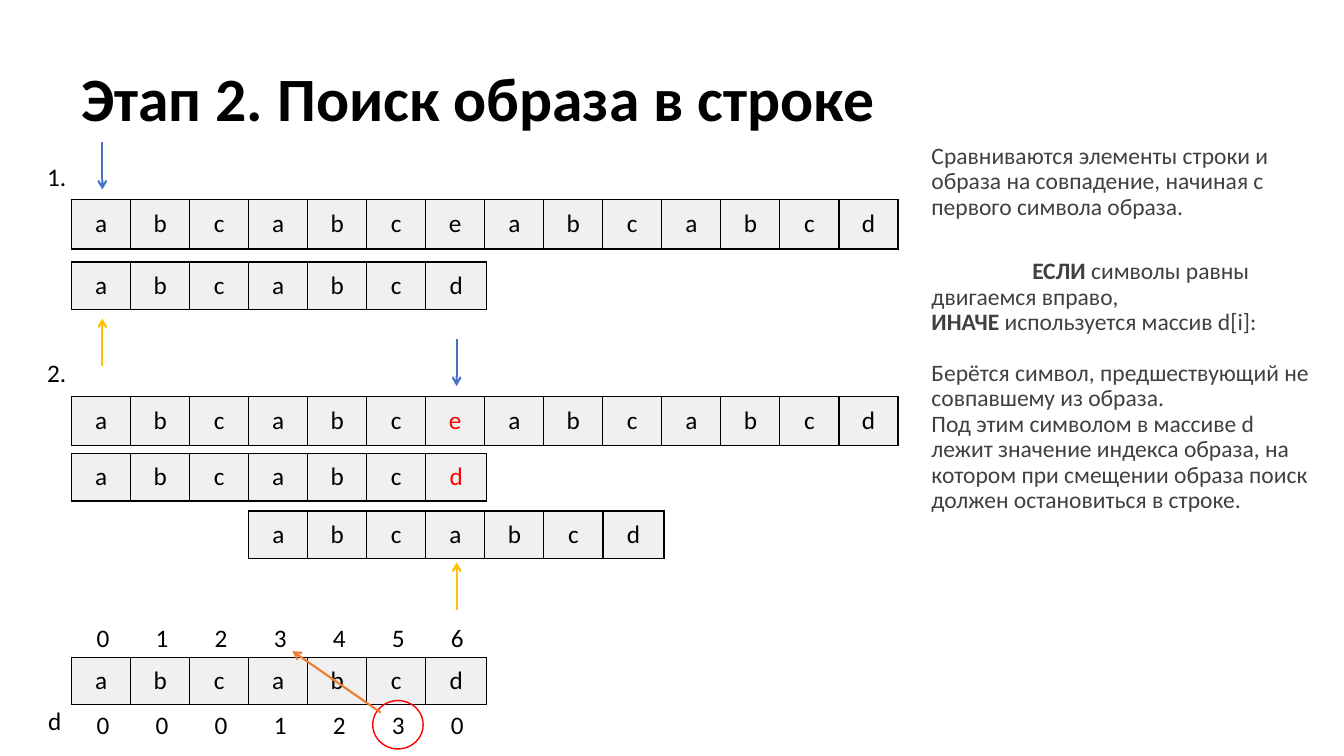
from dataclasses import dataclass
from typing import NamedTuple

from lxml.etree import SubElement
from pptx import Presentation
from pptx.dml.color import RGBColor
from pptx.enum.shapes import MSO_CONNECTOR as Connector, MSO_SHAPE as Preset
from pptx.enum.text import MSO_ANCHOR as Anchor, MSO_AUTO_SIZE as AutoSize, PP_ALIGN as Align
from pptx.oxml.ns import qn
from pptx.util import Inches, Pt


@dataclass(frozen=True)
class Theme:
    font: str = "Calibri"
    title_size: float = 44
    cell_size: float = 18
    body_size: float = 16.8
    ink: str = "000000"
    body_ink: str = "404040"
    cell_fill: str = "F0F0F0"
    alert: str = "FF0000"
    text_arrow: str = "4472C4"
    pattern_arrow: str = "FFC000"
    shift_arrow: str = "ED7D31"


class Box(NamedTuple):
    left: float
    top: float
    width: float
    height: float


THEME = Theme()
TEXT = "abcabceabcabcd"
PATTERN = "abcabcd"
TEXT_WIDTH, PATTERN_WIDTH = 8.2, 4.12
TEXT_HEIGHT, PATTERN_HEIGHT = 0.49, 0.47
COLUMN = TEXT_WIDTH / len(TEXT)
GRID_LEFT = 0.71
ARROW_SHIFT = 0.52  # share of a column
ARROW_LENGTH = 0.47


def apply_format(target, values):
    for name, value in values.items():
        setattr(target, name, value)


def add_run(paragraph, text, size=THEME.cell_size, color=THEME.ink, bold=False):
    run = paragraph.add_run()
    run.text = text
    apply_format(run.font, {"name": THEME.font, "size": Pt(size), "bold": bold})
    run.font.color.rgb = RGBColor.from_string(color)


def add_text_box(slide, box, **frame_format):
    frame = slide.shapes.add_textbox(*map(Inches, box)).text_frame
    apply_format(frame, {"word_wrap": True, **frame_format})
    return frame


def add_label(slide, left, top, text, width=0.33):
    frame = add_text_box(slide, Box(left, top, width, 0.4),
                         word_wrap=False, auto_size=AutoSize.SHAPE_TO_FIT_TEXT)
    add_run(frame.paragraphs[0], text)


def add_arrow(slide, start, end, color):
    arrow = slide.shapes.add_connector(Connector.STRAIGHT, *map(Inches, start + end))
    arrow.line.color.rgb = RGBColor.from_string(color)
    arrow.line.width = Pt(1.5)
    SubElement(arrow.line._get_or_add_ln(), qn("a:tailEnd"), type="arrow")
    SubElement(arrow._element.spPr, qn("a:effectLst"))


def add_cell_borders(cell):
    properties = cell._tc.get_or_add_tcPr()
    for side in ("lnL", "lnR", "lnT", "lnB"):
        border = SubElement(properties, qn(f"a:{side}"), w=str(Pt(1)))
        fill = SubElement(border, qn("a:solidFill"))
        SubElement(fill, qn("a:srgbClr"), val=THEME.ink)


def add_strip(slide, box, letters, alert_index=None):
    """One-row table; the last column takes what the even columns leave."""
    table = slide.shapes.add_table(1, len(letters), *map(Inches, box)).table
    apply_format(table, {"first_row": False, "horz_banding": False})
    last = len(letters) - 1
    for index, letter in enumerate(letters):
        width = box.width - last * COLUMN if index == last else COLUMN
        table.columns[index].width = Inches(width)
        cell = table.cell(0, index)
        add_cell_borders(cell)
        cell.fill.solid()
        cell.fill.fore_color.rgb = RGBColor.from_string(THEME.cell_fill)
        cell.vertical_anchor = Anchor.MIDDLE
        paragraph = cell.text_frame.paragraphs[0]
        paragraph.alignment = Align.CENTER
        color = THEME.alert if index == alert_index else THEME.ink
        add_run(paragraph, letter, color=color)


def add_title(slide, box):
    frame = add_text_box(slide, box, vertical_anchor=Anchor.MIDDLE)
    paragraph = frame.paragraphs[0]
    paragraph.line_spacing = 0.9
    add_run(paragraph, "Этап 2. Поиск образа в строке", THEME.title_size, bold=True)


def add_explanation(slide, box):
    # Space before, first-line indent, bold opening, rest of the paragraph
    paragraphs = [
        (0, 0, "", "Сравниваются элементы строки и образа на совпадение, "
                   "начиная с первого символа образа."),
        (28, 1, "ЕСЛИ", " символы равны двигаемся вправо,"),
        (0, 0, "ИНАЧЕ", " используется массив d[i]:"),
        (18, 0, "", "Берётся символ, предшествующий не совпавшему из образа."),
        (0, 0, "", "Под этим символом в массиве d лежит значение индекса образа, "
                   "на котором при смещении образа поиск должен остановиться в строке."),
    ]
    frame = add_text_box(slide, box)
    for number, (before, indent, opening, rest) in enumerate(paragraphs):
        paragraph = frame.add_paragraph() if number else frame.paragraphs[0]
        apply_format(paragraph, {"line_spacing": 0.9, "space_before": Pt(before)})
        if indent:
            paragraph._p.get_or_add_pPr().set("indent", str(Inches(indent)))
        if opening:
            add_run(paragraph, opening, THEME.body_size, THEME.body_ink, bold=True)
        add_run(paragraph, rest, THEME.body_size, THEME.body_ink)


def add_step(slide, box, label, pitch, column, pattern_shifts, alert_index=None):
    """Text strip over pattern strips, with an arrow at the compared column."""
    arrow_x = box.left + (column + ARROW_SHIFT) * COLUMN
    strip_top = box.top + 0.57
    add_label(slide, box.left - 0.34, box.top + 0.14, label, width=0.39)
    add_arrow(slide, (arrow_x, box.top), (arrow_x, box.top + ARROW_LENGTH), THEME.text_arrow)
    add_strip(slide, Box(box.left, strip_top, box.width, TEXT_HEIGHT), TEXT, alert_index)
    for row, shift in enumerate(pattern_shifts, start=1):
        place = Box(box.left + shift * COLUMN, strip_top + row * pitch,
                    PATTERN_WIDTH, PATTERN_HEIGHT)
        add_strip(slide, place, PATTERN, None if shift else alert_index)
    tip = strip_top + (len(pattern_shifts) + 1) * pitch - 0.06
    add_arrow(slide, (arrow_x, tip + ARROW_LENGTH), (arrow_x, tip), THEME.pattern_arrow)


def add_prefix_array(slide, box):
    """Indices above the pattern, values of d below it."""
    strip_top, values_top = box.top + 0.4, box.top + 0.87
    add_strip(slide, Box(box.left, strip_top, box.width, PATTERN_HEIGHT), PATTERN)
    for top, digits in ((box.top, "0123456"), (values_top, "0001230")):
        for index, digit in enumerate(digits):
            add_label(slide, box.left + 0.15 + index * COLUMN, top, digit)
    add_label(slide, box.left - 0.33, values_top - 0.04, "d")

    # Value 3 in column 5 points back to index 3
    circle_left, circle_top = box.left + 5.1 * COLUMN, values_top - 0.04
    circle = slide.shapes.add_shape(
        Preset.OVAL, *map(Inches, (circle_left, circle_top, 0.5, 0.48)))
    circle.shadow.inherit = False
    circle.fill.background()
    circle.line.color.rgb = RGBColor.from_string(THEME.alert)
    circle.line.width = Pt(1)
    add_arrow(slide, (circle_left + 0.08, circle_top + 0.12),
              (box.left + 3.74 * COLUMN, strip_top - 0.06), THEME.shift_arrow)


def main():
    presentation = Presentation()
    apply_format(presentation, {"slide_width": Inches(13.33), "slide_height": Inches(7.5)})
    slide = presentation.slides.add_slide(presentation.slide_layouts[6])
    add_title(slide, Box(GRID_LEFT, 0.28, 11.5, 1.45))
    add_explanation(slide, Box(9.14, 1.38, 3.99, 4.22))
    add_step(slide, Box(GRID_LEFT, 1.41, TEXT_WIDTH, 2.22), "1.",
             pitch=0.62, column=0, pattern_shifts=[0])
    add_step(slide, Box(GRID_LEFT, 3.36, TEXT_WIDTH, 2.69), "2.",
             pitch=0.57, column=6, pattern_shifts=[0, 3], alert_index=6)
    add_prefix_array(slide, Box(GRID_LEFT, 6.12, PATTERN_WIDTH, 1.27))
    presentation.save("out.pptx")


if __name__ == "__main__":
    main()
